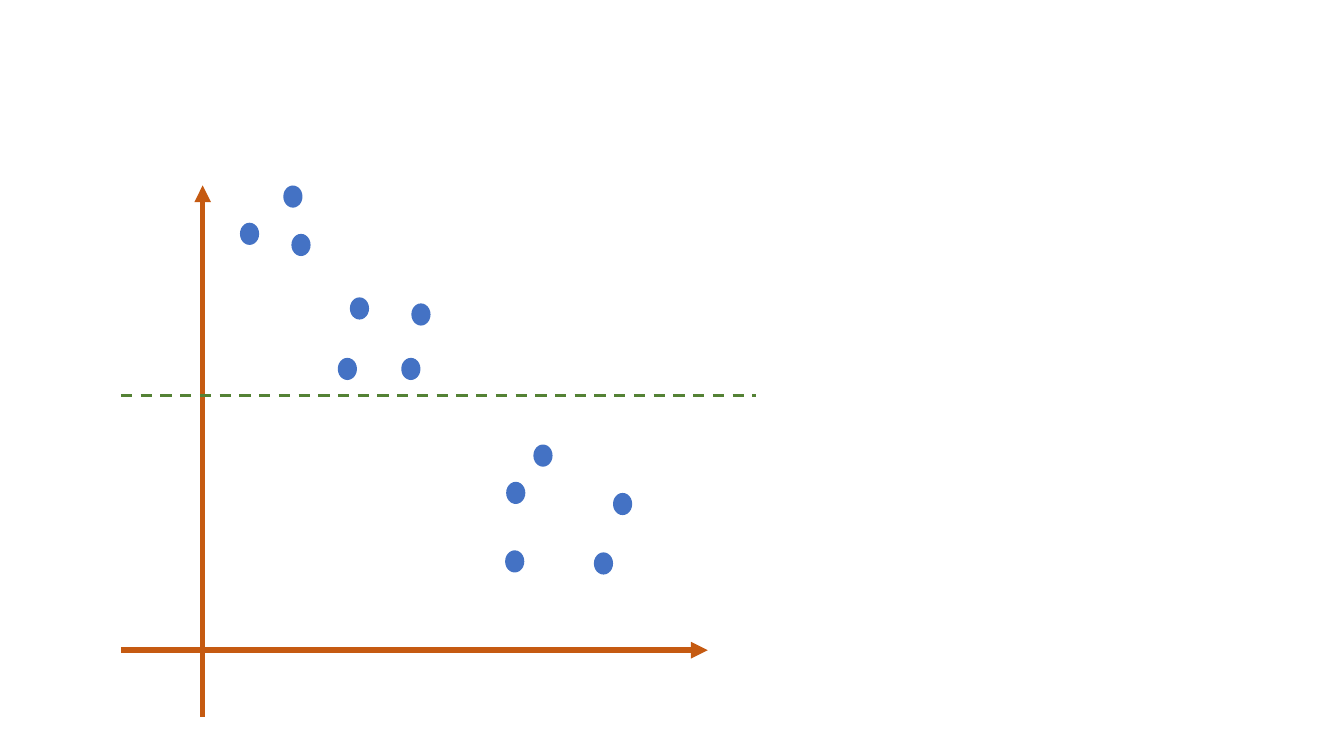
from lxml.etree import SubElement
from pptx import Presentation
from pptx.dml.color import RGBColor
from pptx.enum.dml import MSO_LINE
from pptx.enum.shapes import MSO_CONNECTOR, MSO_SHAPE
from pptx.oxml.ns import qn
from pptx.util import Inches, Pt

COLORS = {"axis": "C55A11", "point": "4472C4", "threshold": "548235"}
POINT_WIDTH, POINT_HEIGHT = 0.19, 0.22

# Left and top of each point, by cluster
CLUSTERS = {
    "top": [(2.38, 2.21), (2.81, 1.84), (2.89, 2.32)],
    "middle": [(4.08, 3.01), (3.35, 3.55), (3.47, 2.95), (3.98, 3.55)],
    "bottom": [(5.01, 5.46), (5.89, 5.48), (6.08, 4.89), (5.29, 4.41), (5.02, 4.78)],
}


class ScatterSketch:
    """Draws the parts of the scatter diagram in one group."""

    def __init__(self, slide):
        self.shapes = slide.shapes.add_group_shape().shapes

    def color(self, role):
        return RGBColor.from_string(COLORS[role])

    def line(self, start, end, role, width):
        line = self.shapes.add_connector(
            MSO_CONNECTOR.STRAIGHT, *map(Inches, (*start, *end)))
        line.line.color.rgb = self.color(role)
        line.line.width = Pt(width)
        SubElement(line._element.spPr, qn("a:effectLst"))
        return line

    def axis(self, start, end):
        axis = self.line(start, end, "axis", 4)
        SubElement(axis.line._get_or_add_ln(), qn("a:tailEnd"), type="triangle")

    def threshold(self, start, end):
        self.line(start, end, "threshold", 2).line.dash_style = MSO_LINE.DASH

    def point(self, left, top):
        point = self.shapes.add_shape(
            MSO_SHAPE.OVAL, *map(Inches, (left, top, POINT_WIDTH, POINT_HEIGHT)))
        point.shadow.inherit = False
        point.fill.solid()
        point.fill.fore_color.rgb = self.color("point")
        point.line.fill.background()


def main():
    prs = Presentation()
    prs.slide_width, prs.slide_height = Inches(13.33), Inches(7.5)
    sketch = ScatterSketch(prs.slides.add_slide(prs.slide_layouts[6]))

    # Axes
    sketch.axis((2.01, 7.11), (2.01, 1.84))
    sketch.axis((1.2, 6.45), (7.02, 6.45))

    # Data points
    for cluster in CLUSTERS.values():
        for left, top in cluster:
            sketch.point(left, top)

    # Horizontal split between the clusters
    sketch.threshold((1.2, 3.92), (7.5, 3.92))

    prs.save("out.pptx")


if __name__ == "__main__":
    main()
